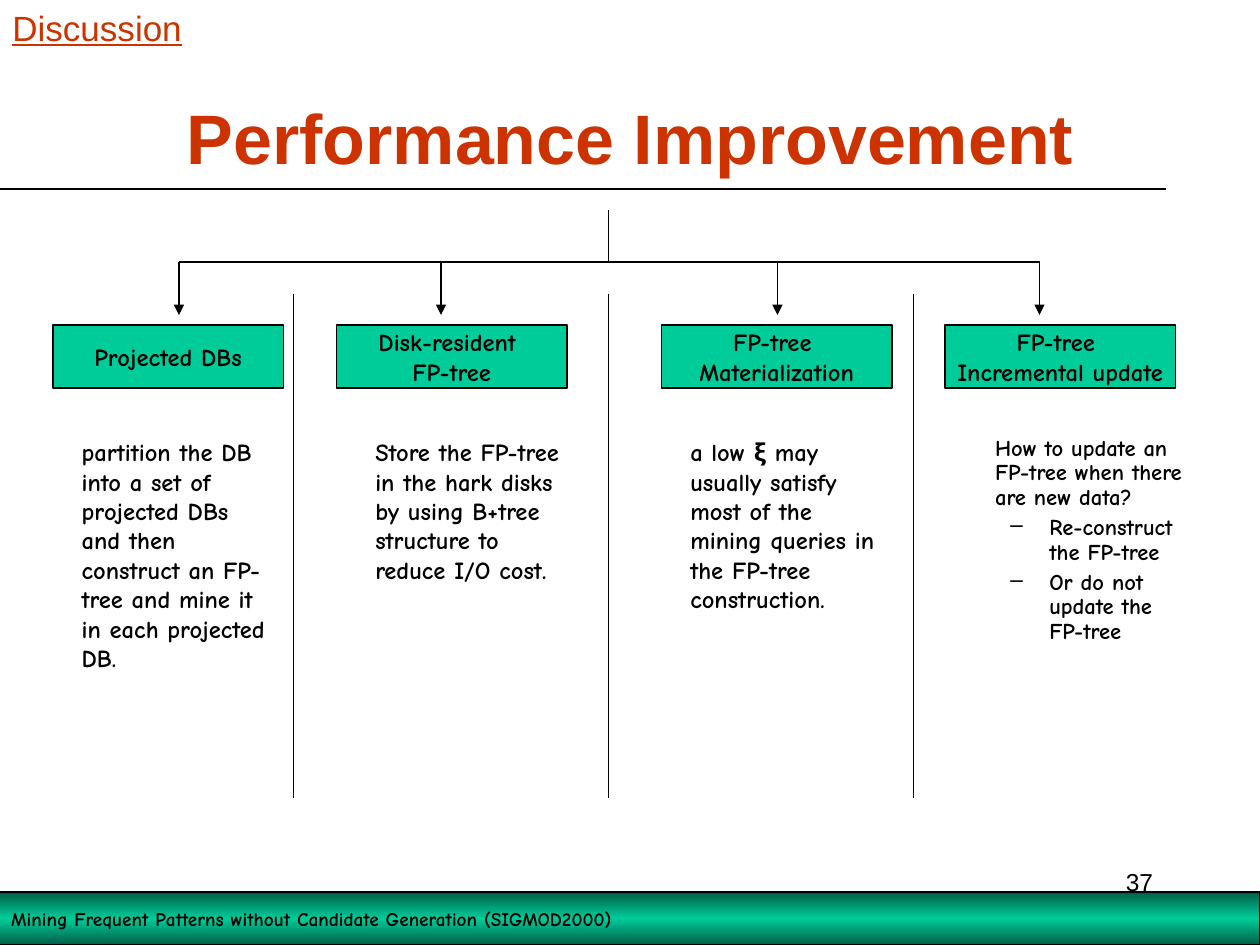
from copy import deepcopy
from dataclasses import dataclass

from lxml.etree import SubElement
from pptx import Presentation
from pptx.dml.color import RGBColor
from pptx.enum.shapes import MSO_CONNECTOR, MSO_SHAPE
from pptx.enum.text import MSO_ANCHOR, MSO_AUTO_SIZE, PP_ALIGN
from pptx.oxml.ns import qn
from pptx.util import Inches, Pt


@dataclass(frozen=True)
class Theme:
    black: RGBColor = RGBColor(0x00, 0x00, 0x00)
    red: RGBColor = RGBColor(0xCC, 0x33, 0x00)
    green: RGBColor = RGBColor(0x00, 0xCC, 0x99)
    dark_green: RGBColor = RGBColor(0x00, 0x5E, 0x46)
    heading_font: str = "Arial"
    body_font: str = "Comic Neue"
    title_size: float = 40
    section_size: float = 20
    body_size: float = 14
    update_size: float = 12.9
    footer_size: float = 11
    line_width: float = 0.75


theme = Theme()


def add_line(start_x, start_y, end_x, end_y, arrow=False):
    connector = slide.shapes.add_connector(
        MSO_CONNECTOR.STRAIGHT, Inches(start_x), Inches(start_y), Inches(end_x), Inches(end_y)
    )
    connector.line.color.rgb = theme.black
    connector.line.width = Pt(theme.line_width)
    if arrow:
        SubElement(connector.line._get_or_add_ln(), qn("a:tailEnd"), type="triangle")
    SubElement(connector._element.spPr, qn("a:effectLst"))


def write_text(shape, text, size, font=theme.body_font, color=theme.black,
               bold=True, align=PP_ALIGN.LEFT, anchor=MSO_ANCHOR.TOP, wrap=True):
    text_frame = shape.text_frame
    text_frame.text = text
    text_frame.word_wrap = wrap
    text_frame.auto_size = MSO_AUTO_SIZE.NONE
    text_frame.vertical_anchor = anchor
    for paragraph in text_frame.paragraphs:
        paragraph.alignment = align
        for run in paragraph.runs:
            run.font.name = font
            run.font.size = Pt(size)
            run.font.bold = bold
            run.font.color.rgb = color
    return text_frame


presentation = Presentation()
presentation.slide_width = Inches(10)
presentation.slide_height = Inches(7.5)
slide = presentation.slides.add_slide(presentation.slide_layouts[5])

add_line(0, 1.5, 9.25, 1.5)

title = slide.shapes.title
title.left, title.top = Inches(0.75), Inches(0.67)
title.width, title.height = Inches(8.5), Inches(0.83)
write_text(title, "Performance Improvement", theme.title_size, theme.heading_font, theme.red,
           align=PP_ALIGN.CENTER, anchor=MSO_ANCHOR.MIDDLE)

section = slide.shapes.add_textbox(0, 0, Inches(1.54), Inches(0.44))
section_frame = write_text(section, "Discussion", theme.section_size, theme.heading_font,
                           theme.red, bold=False, wrap=False)
section_frame.paragraphs[0].runs[0].font.underline = True

footer = slide.shapes.add_shape(
    MSO_SHAPE.RECTANGLE, Inches(-0.01), Inches(7.08), Inches(10.01), Inches(0.42)
)
footer.shadow.inherit = False
footer.line.color.rgb = theme.black
footer.line.width = Pt(theme.line_width)
footer.fill.gradient()
footer.fill.gradient_angle = 90
stop_list = footer._element.spPr.find(".//" + qn("a:gsLst"))
stop_list.append(deepcopy(stop_list[1]))
stop_colors = [theme.dark_green, theme.green, theme.dark_green]
for stop, position, color in zip(footer.fill.gradient_stops, [0, 0.5, 1], stop_colors):
    stop.position = position
    stop.color.rgb = color
write_text(footer, "Mining Frequent Patterns without Candidate Generation (SIGMOD2000)",
           theme.footer_size, anchor=MSO_ANCHOR.MIDDLE, wrap=False)

trunk_x, branch_y = 4.83, 2.08
arrow_positions = [1.42, 3.5, 6.17, 8.25]
add_line(trunk_x, 1.67, trunk_x, branch_y)
add_line(arrow_positions[0], branch_y, arrow_positions[-1], branch_y)
for arrow_x in arrow_positions:
    add_line(arrow_x, branch_y, arrow_x, 2.5, arrow=True)
for divider_x in [2.33, trunk_x, 7.25]:
    add_line(divider_x, 2.33, divider_x, 6.33)

columns = [
    (0.42, 0.17, "Projected DBs", theme.body_size, 1.0,
     "partition the DB into a set of projected DBs and then construct an FP-tree "
     "and mine it in each projected DB."),
    (2.67, 2.5, "Disk-resident \nFP-tree", theme.body_size, 1.0,
     "Store the FP-tree in the hark disks by using B+tree structure to reduce I/O cost."),
    (5.25, 5, "FP-tree \nMaterialization", theme.body_size, 1.0,
     "a low ξ may usually satisfy most of the mining queries in the FP-tree construction."),
    (7.5, 7.42, "FP-tree \nIncremental update", theme.update_size, 0.9,
     "How to update an FP-tree when there are new data?\n"
     "Re-construct the FP-tree\nOr do not update the FP-tree"),
]
for box_left, text_left, heading, size, line_spacing, description in columns:
    box = slide.shapes.add_shape(
        MSO_SHAPE.RECTANGLE, Inches(box_left), Inches(2.58), Inches(1.83), Inches(0.5)
    )
    box.shadow.inherit = False
    box.fill.solid()
    box.fill.fore_color.rgb = theme.green
    box.line.color.rgb = theme.black
    box.line.width = Pt(theme.line_width)
    write_text(box, heading, theme.body_size, align=PP_ALIGN.CENTER,
               anchor=MSO_ANCHOR.MIDDLE, wrap=False)

    body = slide.shapes.add_textbox(Inches(text_left), Inches(3.42), Inches(2.08), Inches(2.17))
    body_frame = write_text(body, description, size)
    for index, paragraph in enumerate(body_frame.paragraphs):
        paragraph.line_spacing = line_spacing
        paragraph.space_before = Pt(3.5)
        properties = paragraph._p.get_or_add_pPr()
        properties.set("marL", str(Inches(0.81 if index else 0.38)))
        if index:
            paragraph.level = 1
            properties.set("indent", str(Inches(-0.31)))
            SubElement(properties, qn("a:buChar"), char="–")

page_number = slide.shapes.add_textbox(Inches(7.17), Inches(6.83), Inches(2.08), Inches(0.5))
write_text(page_number, "37", theme.body_size, theme.heading_font, bold=False,
           align=PP_ALIGN.RIGHT)

presentation.save("out.pptx")
